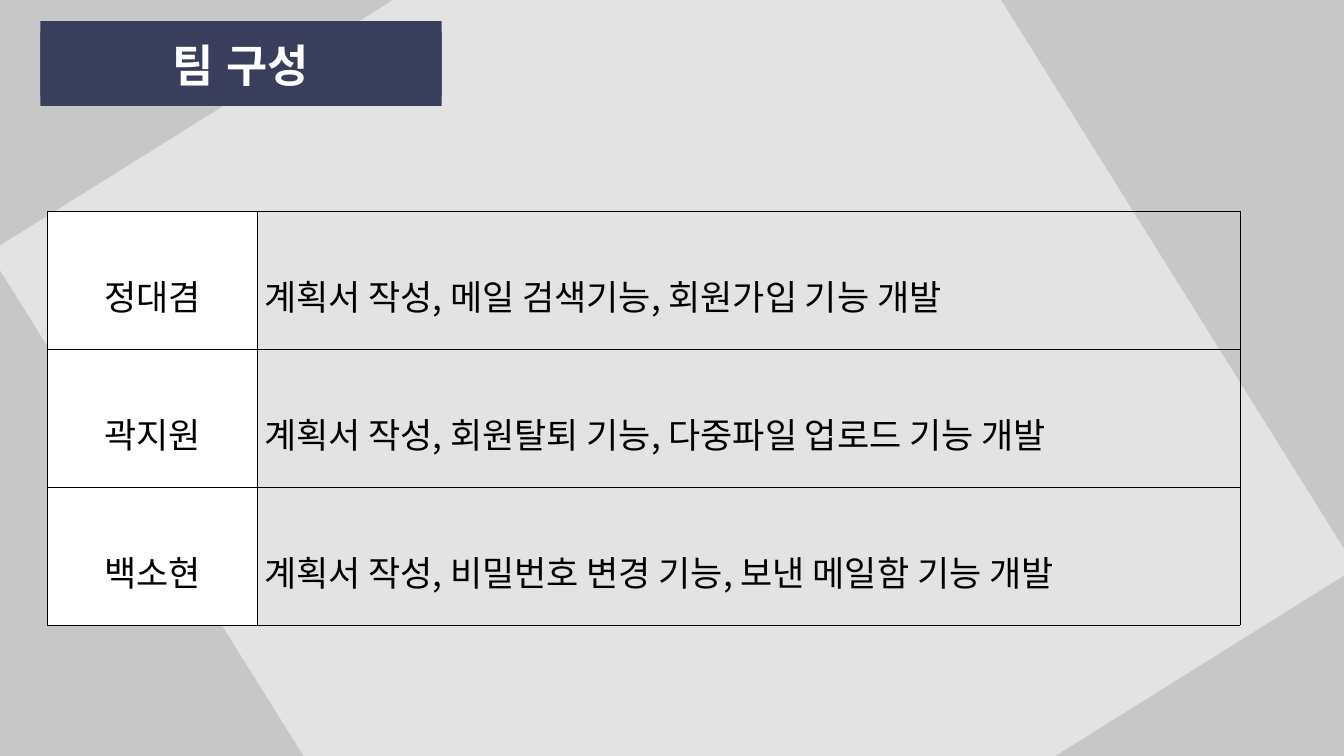
from lxml import etree
from pptx import Presentation
from pptx.dml.color import RGBColor
from pptx.enum.shapes import MSO_SHAPE
from pptx.enum.text import MSO_ANCHOR, MSO_AUTO_SIZE, PP_ALIGN
from pptx.oxml.ns import qn
from pptx.util import Inches, Pt

RECTANGLE = MSO_SHAPE.RECTANGLE
MIDDLE = MSO_ANCHOR.MIDDLE
GROW = MSO_AUTO_SIZE.SHAPE_TO_FIT_TEXT
CENTER, JUSTIFY = PP_ALIGN.CENTER, PP_ALIGN.JUSTIFY

GRAY = RGBColor(0xC7, 0xC7, 0xC7)
NAVY = RGBColor(0x39, 0x3E, 0x5C)
WHITE = RGBColor(0xFF, 0xFF, 0xFF)
BLACK = RGBColor(0x00, 0x00, 0x00)

TITLE_FONT = "Arial"
BODY_FONT = "Noto Sans CJK KR"

COLUMN_WIDTHS = (2.08, 9.75)
ROW_HEIGHT = 1.37
BORDER_WIDTH = 0.28
TEAM = (
    ("정대겸", "계획서 작성, 메일 검색기능, 회원가입 기능 개발"),
    ("곽지원", "계획서 작성, 회원탈퇴 기능, 다중파일 업로드 기능 개발"),
    ("백소현", "계획서 작성, 비밀번호 변경 기능, 보낸 메일함 기능 개발"),
)


def write_text(frame, text, *, size, font, color, align, bold=False, spacing=None):
    paragraph = frame.paragraphs[0]
    paragraph.alignment = align
    paragraph.line_spacing = spacing
    run = paragraph.add_run()
    run.text = text
    run.font.size = Pt(size)
    run.font.name = font
    run.font.bold = bold
    run.font.color.rgb = color
    east_asian = etree.SubElement(run.font._element, qn("a:ea"))
    east_asian.set("typeface", font)


def add_rectangle(shapes, left, top, width, height, color):
    rectangle = shapes.add_shape(
        RECTANGLE, Inches(left), Inches(top), Inches(width), Inches(height))
    rectangle.shadow.inherit = False
    rectangle.fill.solid()
    rectangle.fill.fore_color.rgb = color
    rectangle.line.fill.background()
    return rectangle


def add_backdrop(slide):
    """Gray background with a tilted, half-transparent white square."""
    slide.background.fill.solid()
    slide.background.fill.fore_color.rgb = GRAY
    square = add_rectangle(slide.shapes, 1.75, -0.85, 9.84, 9.84, WHITE)
    square.rotation = 58
    white = square._element.spPr.find(qn("a:solidFill")).find(qn("a:srgbClr"))
    etree.SubElement(white, qn("a:alpha")).set("val", "50000")


def add_title(slide, text):
    title_group = slide.shapes.add_group_shape()
    add_rectangle(title_group.shapes, 0.4, 0.21, 3.98, 0.84, NAVY)
    title = add_rectangle(title_group.shapes, 0.4, 0.32, 3.98, 0.64, NAVY)
    frame = title.text_frame
    frame.word_wrap = True
    frame.auto_size = GROW
    frame.vertical_anchor = MIDDLE
    write_text(frame, text, size=32, font=TITLE_FONT, color=WHITE,
               align=CENTER, bold=True)


def add_borders(cell):
    """Draw the four cell borders; they must precede the fill in the XML."""
    properties = cell._tc.get_or_add_tcPr()
    for position, side in enumerate(("a:lnL", "a:lnR", "a:lnT", "a:lnB")):
        border = etree.Element(qn(side), w=str(int(Pt(BORDER_WIDTH))))
        fill = etree.SubElement(border, qn("a:solidFill"))
        etree.SubElement(fill, qn("a:srgbClr")).set("val", str(BLACK))
        properties.insert(position, border)


def fill_cell(cell, text, align, color=None):
    cell.vertical_anchor = MIDDLE
    cell.margin_left = cell.margin_right = Inches(0.07)
    cell.margin_top = cell.margin_bottom = Inches(0.02)
    if color is None:
        cell.fill.background()
    else:
        cell.fill.solid()
        cell.fill.fore_color.rgb = color
    add_borders(cell)
    write_text(cell.text_frame, text, size=25, font=BODY_FONT, color=BLACK,
               align=align, spacing=1.6)


def add_team_table(slide):
    table = slide.shapes.add_table(
        len(TEAM), len(COLUMN_WIDTHS), Inches(0.47), Inches(2.09),
        Inches(sum(COLUMN_WIDTHS)), Inches(ROW_HEIGHT * len(TEAM))).table
    table.first_row = False
    table.horz_banding = False
    for column, width in zip(table.columns, COLUMN_WIDTHS):
        column.width = Inches(width)
    for row, (member, duties) in zip(table.rows, TEAM):
        row.height = Inches(ROW_HEIGHT)
        fill_cell(row.cells[0], member, CENTER, WHITE)
        fill_cell(row.cells[1], duties, JUSTIFY)


def main():
    presentation = Presentation()
    presentation.slide_width = Inches(13.33)
    presentation.slide_height = Inches(7.5)
    slide = presentation.slides.add_slide(presentation.slide_layouts[6])
    add_backdrop(slide)
    add_title(slide, "팀 구성")
    add_team_table(slide)
    presentation.save("out.pptx")


if __name__ == "__main__":
    main()
